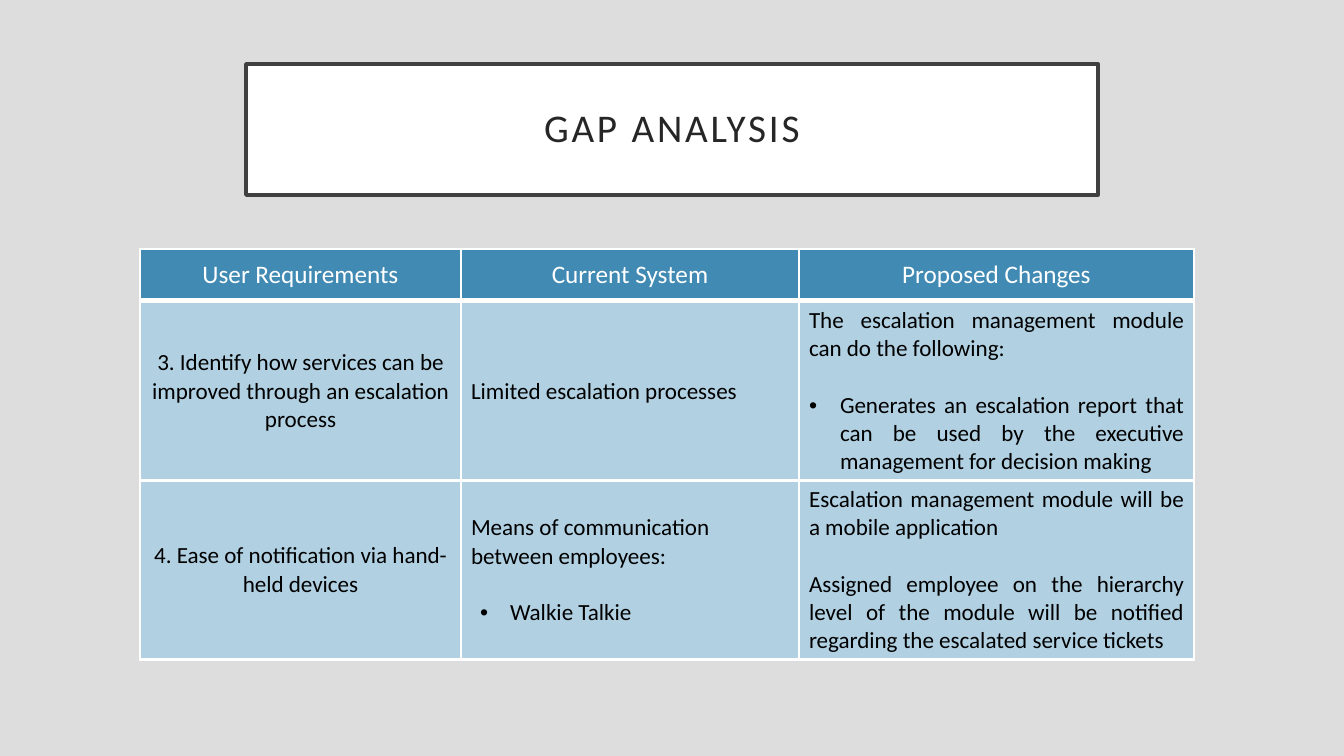
from dataclasses import dataclass

from lxml import etree
from pptx import Presentation, util as u
from pptx.dml.color import RGBColor
from pptx.enum import text
from pptx.oxml import ns

SCALE = 914400 / 100.8
FONT = "Calibri"
PAGE = RGBColor(0xDD, 0xDD, 0xDD)
WHITE = RGBColor(0xFF, 0xFF, 0xFF)
BLACK = RGBColor(0, 0, 0)
FRAME = RGBColor(0x40, 0x40, 0x40)
INK = RGBColor(0x26, 0x26, 0x26)
HEAD = RGBColor(0x41, 0x8A, 0xB3)
BODY = RGBColor(0xB1, 0xD1, 0xE3)

LEFT = 140
COLS = (321, 338, 395)
EDGES = {"lnL": 1, "lnR": 1, "lnT": 1, "lnB": 3}
CENTER = text.PP_ALIGN.CENTER
JUST = text.PP_ALIGN.JUSTIFY
START = text.PP_ALIGN.LEFT


@dataclass
class Para:
    """One paragraph of a cell; hang holds the bullet's margin and indent."""
    words: str
    align: int = JUST
    gap: int = 0
    level: int = 0
    hang: tuple = ()


TITLES = [[Para(words, CENTER)] for words in
          ("User Requirements", "Current System", "Proposed Changes")]
REPORT = [
    [Para("3. Identify how services can be improved through an escalation process", CENTER)],
    [Para("Limited escalation processes")],
    [Para("The escalation management module can do the following:"),
     Para("Generates an escalation report that can be used by the executive "
          "management for decision making", gap=20, hang=(31, -31))],
]
NOTICE = [
    [Para("4. Ease of notification via hand-held devices", CENTER)],
    [Para("Means of communication between employees:", START),
     Para("Walkie Talkie", gap=20, level=1, hang=(39, -30))],
    [Para("Escalation management module will be a mobile application"),
     Para("Assigned employee on the hierarchy level of the module will be notified "
          "regarding the escalated service tickets", gap=20)],
]


def px(size):
    """Turn pixels into EMU."""
    return u.Emu(round(size * SCALE))


def style(para, size, color):
    """Set the font of a paragraph."""
    para.font.name = FONT
    para.font.size = u.Pt(size)
    para.font.color.rgb = color


def add_title(slide, words):
    """Place and format the framed title."""
    title = slide.shapes.title
    title.left, title.top, title.width, title.height = map(px, (246, 64, 852, 131))
    title.fill.solid()
    title.fill.fore_color.rgb = WHITE
    title.line.color.rgb = FRAME
    title.line.width = u.Pt(2.5)
    frame = title.text_frame
    frame.text = words
    frame.auto_size = text.MSO_AUTO_SIZE.NONE
    frame.vertical_anchor = text.MSO_ANCHOR.MIDDLE
    frame.margin_left = frame.margin_right = px(20)
    frame.margin_top = frame.margin_bottom = px(20)
    para = frame.paragraphs[0]
    para.alignment = CENTER
    para.line_spacing = 0.9
    style(para, 28, INK)
    para._p.pPr.find(ns.qn("a:defRPr")).set("spc", "200")


def add_bullet(para, hang):
    """Give a paragraph a round bullet with a hanging indent."""
    props = para._p.get_or_add_pPr()
    for name, size in zip(("marL", "indent"), hang):
        props.set(name, str(px(size)))
    etree.SubElement(props, ns.qn("a:buFont"), typeface="Arial")
    etree.SubElement(props, ns.qn("a:buChar"), char="•")


def add_edges(cell):
    """Draw the white borders of a cell."""
    props = cell._tc.get_or_add_tcPr()
    for name, width in EDGES.items():
        line = etree.SubElement(props, ns.qn("a:" + name), w=str(u.Pt(width)))
        fill = etree.SubElement(line, ns.qn("a:solidFill"))
        etree.SubElement(fill, ns.qn("a:srgbClr"), val=str(WHITE))


def fill_cell(cell, paras, size, ink, back):
    """Write the paragraphs of a cell and colour it."""
    add_edges(cell)
    cell.fill.solid()
    cell.fill.fore_color.rgb = back
    cell.vertical_anchor = text.MSO_ANCHOR.MIDDLE
    frame = cell.text_frame
    frame.text = "\n".join(item.words for item in paras)
    for para, item in zip(frame.paragraphs, paras):
        para.alignment = item.align
        para.level = item.level
        if item.gap:
            para.space_before = u.Pt(item.gap)
        if item.hang:
            add_bullet(para, item.hang)
        style(para, size, ink)


def add_row(slide, top, height, cells, size, ink, back):
    """Add a table of one row."""
    box = map(px, (LEFT, top, sum(COLS), height))
    table = slide.shapes.add_table(1, len(COLS), *box).table
    table.first_row = table.horz_banding = False
    for col, width, cell, paras in zip(table.columns, COLS, table.rows[0].cells, cells):
        col.width = px(width)
        fill_cell(cell, paras, size, ink, back)


def main():
    """Build the slide and save it."""
    deck = Presentation()
    deck.slide_width, deck.slide_height = px(1344), px(756)
    slide = deck.slides.add_slide(deck.slide_layouts[5])
    slide.background.fill.solid()
    slide.background.fill.fore_color.rgb = PAGE
    add_title(slide, "GAP ANALYSIS")
    add_row(slide, 249, 51, TITLES, 18, WHITE, HEAD)
    for top, cells in ((302, REPORT), (481, NOTICE)):
        add_row(slide, top, 176, cells, 16.5, BLACK, BODY)
    deck.save("out.pptx")


main()
